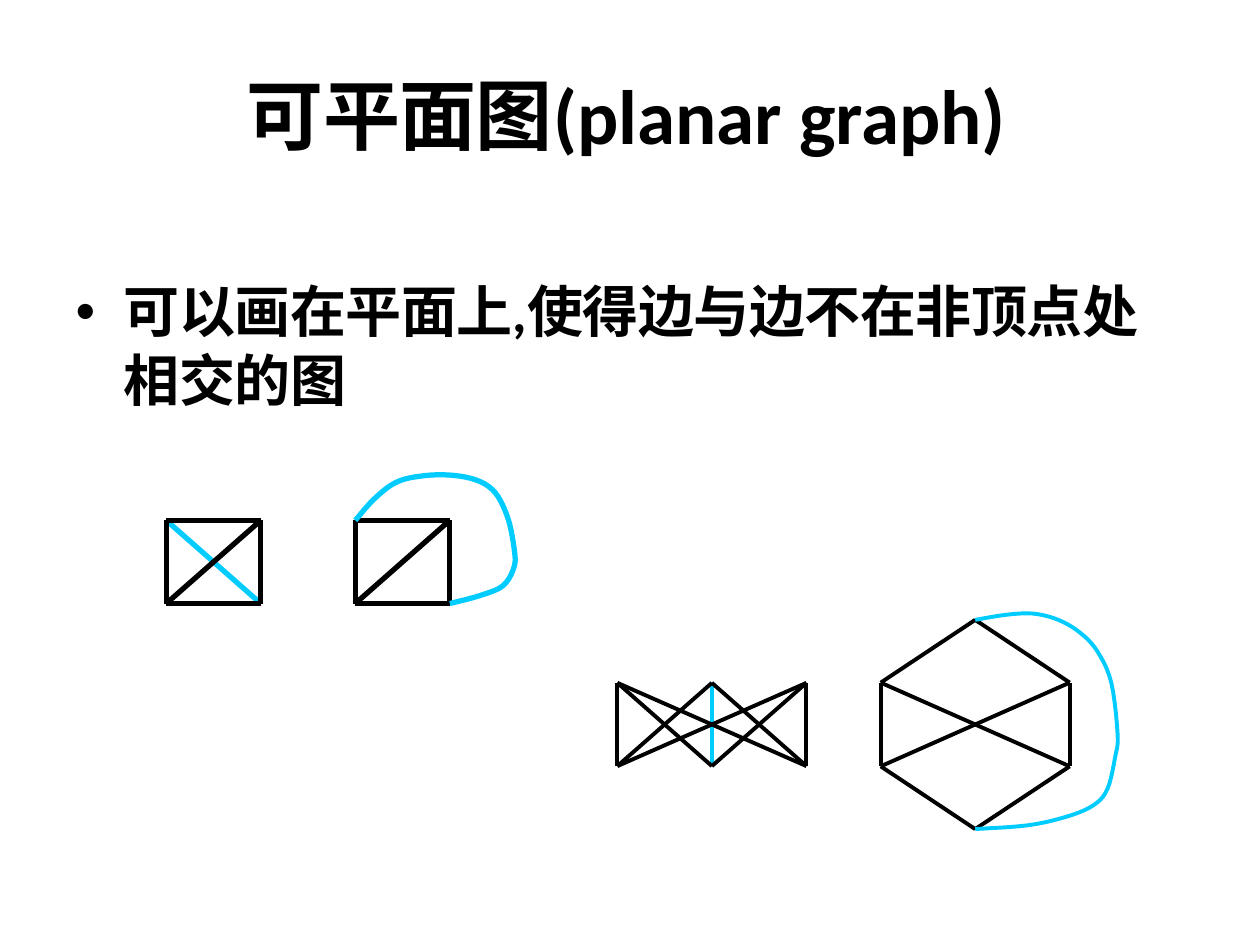
from dataclasses import dataclass

from lxml import etree
from pptx import Presentation
from pptx import util as u
from pptx.dml.color import RGBColor
from pptx.enum import shapes, text
from pptx.oxml import ns


@dataclass(frozen=True)
class Theme:
    ink: RGBColor = RGBColor(0x00, 0x00, 0x00)
    accent: RGBColor = RGBColor(0x00, 0xCC, 0xFF)
    latin_font: str = "Calibri"
    chinese_font: str = "Noto Sans CJK SC"
    title_size: int = 44
    body_size: int = 32
    thick: float = 3
    thin: float = 2.25


THEME = Theme()

# Vertices are fractions of a figure's box; edges are pairs of vertex names
SQUARE = {"a": (0, 0), "b": (1, 0), "c": (1, 1), "d": (0, 1)}
SQUARE_EDGES = "ad bc db dc ab"
ROWS = {"a": (0, 0), "b": (0.5, 0), "c": (1, 0),
        "d": (0, 1), "e": (0.5, 1), "f": (1, 1)}
ROWS_EDGES = "ad ae db cf bf ec af dc"
HEXAGON = {"a": (0, 0.3), "b": (0.5, 0), "c": (1, 0.3),
           "d": (0, 0.7), "e": (0.5, 1), "f": (1, 0.7)}
HEXAGON_EDGES = "ad ab de cf ef bc af dc"

# Knots of the rerouted edges, in inches from the figure's top left corner
SQUARE_DETOUR = [(0, 0), (0.15, -0.17), (0.32, -0.3), (0.51, -0.35),
                 (0.74, -0.36), (0.96, -0.32), (1.11, -0.22), (1.21, -0.02),
                 (1.26, 0.22), (1.26, 0.37), (1.17, 0.52), (0.98, 0.6),
                 (0.75, 0.66)]
HEXAGON_DETOUR = [(0.75, 0), (0.99, -0.04), (1.21, -0.05), (1.41, 0),
                  (1.58, 0.1), (1.72, 0.25), (1.83, 0.5), (1.88, 0.91),
                  (1.86, 1.09), (1.8, 1.34), (1.69, 1.47), (1.48, 1.56),
                  (1.17, 1.63), (0.75, 1.66)]


def add_text(paragraph, content, font, size, spacing=0.0):
    """Add a bold run; spacing is the letter spacing in points."""
    run = paragraph.add_run()
    run.text = content
    run.font.size = u.Pt(size)
    run.font.bold = True
    run.font.name = font
    run.font.color.rgb = THEME.ink
    properties = run.font._element
    properties.set("spc", str(round(spacing * 100)))
    east_asian = etree.SubElement(properties, ns.qn("a:ea"))
    east_asian.set("typeface", font)


def prepare_placeholder(shape, box, line_height):
    """Move a placeholder to its box and return its first paragraph."""
    shape.left, shape.top, shape.width, shape.height = map(u.Inches, box)
    frame = shape.text_frame
    frame.margin_left = frame.margin_right = frame.margin_bottom = 0
    frame.margin_top = u.Inches(0.01)
    frame.vertical_anchor = text.MSO_ANCHOR.TOP
    frame.auto_size = text.MSO_AUTO_SIZE.SHAPE_TO_FIT_TEXT
    frame.word_wrap = True
    paragraph = frame.paragraphs[0]
    paragraph.alignment = text.PP_ALIGN.LEFT
    paragraph.line_spacing = u.Pt(line_height)
    paragraph.space_before = u.Pt(0)
    return paragraph


def add_title(slide, box):
    paragraph = prepare_placeholder(slide.shapes.title, box, 53.5)
    add_text(paragraph, "可平面图", THEME.chinese_font, THEME.title_size, spacing=-0.4)
    add_text(paragraph, "(planar graph)", THEME.latin_font, THEME.title_size)


def add_definition(slide, box):
    paragraph = prepare_placeholder(slide.placeholders[1], box, 39)
    properties = paragraph._p.get_or_add_pPr()
    properties.set("marL", str(u.Inches(0.39)))
    properties.set("indent", str(u.Inches(-0.38)))
    chinese = {"font": THEME.chinese_font, "size": THEME.body_size, "spacing": -0.3}
    add_text(paragraph, "可以画在平面上", **chinese)
    add_text(paragraph, ",", THEME.latin_font, THEME.body_size)
    add_text(paragraph, "使得边与边不在非顶点处相交的图", **chinese)


def add_edge(group, start, end, color, weight):
    points = [u.Inches(value) for value in (*start, *end)]
    edge = group.shapes.add_connector(shapes.MSO_CONNECTOR.STRAIGHT, *points)
    edge.line.color.rgb = color
    edge.line.width = u.Pt(weight)
    etree.SubElement(edge._element.spPr, ns.qn("a:effectLst"))


def smooth(knots, steps=5):
    """Return points of a Catmull-Rom curve through the knots."""
    padded = [knots[0], *knots, knots[-1]]
    points = [knots[0]]
    for p, q, r, s in zip(padded, padded[1:], padded[2:], padded[3:]):
        for step in range(1, steps + 1):
            t = step / steps
            points.append(tuple(
                0.5 * (2 * b + (c - a) * t + (2 * a - 5 * b + 4 * c - d) * t ** 2
                       + (3 * b - a - 3 * c + d) * t ** 3)
                for a, b, c, d in zip(p, q, r, s)))
    return points


def add_detour(group, knots, left, top, weight):
    points = [(u.Inches(left + x), u.Inches(top + y)) for x, y in smooth(knots)]
    builder = group.shapes.build_freeform(*points[0], scale=1.0)
    builder.add_line_segments(points[1:], close=False)
    curve = builder.convert_to_shape()
    curve.shadow.inherit = False
    curve.fill.background()
    curve.line.color.rgb = THEME.accent
    curve.line.width = u.Pt(weight)


def add_graph(slide, box, vertices, edges, weight, crossing="", detour=()):
    """Draw a graph in its box; the crossing edge or its detour is accented."""
    left, top, width, height = box
    places = {name: (left + x * width, top + y * height)
              for name, (x, y) in vertices.items()}
    group = slide.shapes.add_group_shape()
    if crossing:
        add_edge(group, *(places[name] for name in crossing), THEME.accent, weight)
    for start, end in edges.split():
        add_edge(group, places[start], places[end], THEME.ink, weight)
    if detour:
        add_detour(group, detour, left, top, weight)


def main():
    presentation = Presentation()
    presentation.slide_width, presentation.slide_height = u.Inches(10), u.Inches(7.5)
    slide = presentation.slides.add_slide(presentation.slide_layouts[1])

    add_title(slide, (1.96, 0.52, 6.08, 0.76))
    add_definition(slide, (0.59, 2.18, 8.56, 1.1))

    # Complete graph on four vertices, before and after rerouting
    add_graph(slide, (1.32, 4.13, 0.75, 0.66), SQUARE, SQUARE_EDGES,
              THEME.thick, crossing="ac")
    add_graph(slide, (2.82, 4.13, 0.75, 0.66), SQUARE, SQUARE_EDGES,
              THEME.thick, detour=SQUARE_DETOUR)

    # Bipartite graph on three and three vertices, before and after rerouting
    add_graph(slide, (4.9, 5.42, 1.5, 0.66), ROWS, ROWS_EDGES,
              THEME.thin, crossing="be")
    add_graph(slide, (6.99, 4.92, 1.5, 1.66), HEXAGON, HEXAGON_EDGES,
              THEME.thin, detour=HEXAGON_DETOUR)

    presentation.save("out.pptx")


if __name__ == "__main__":
    main()
